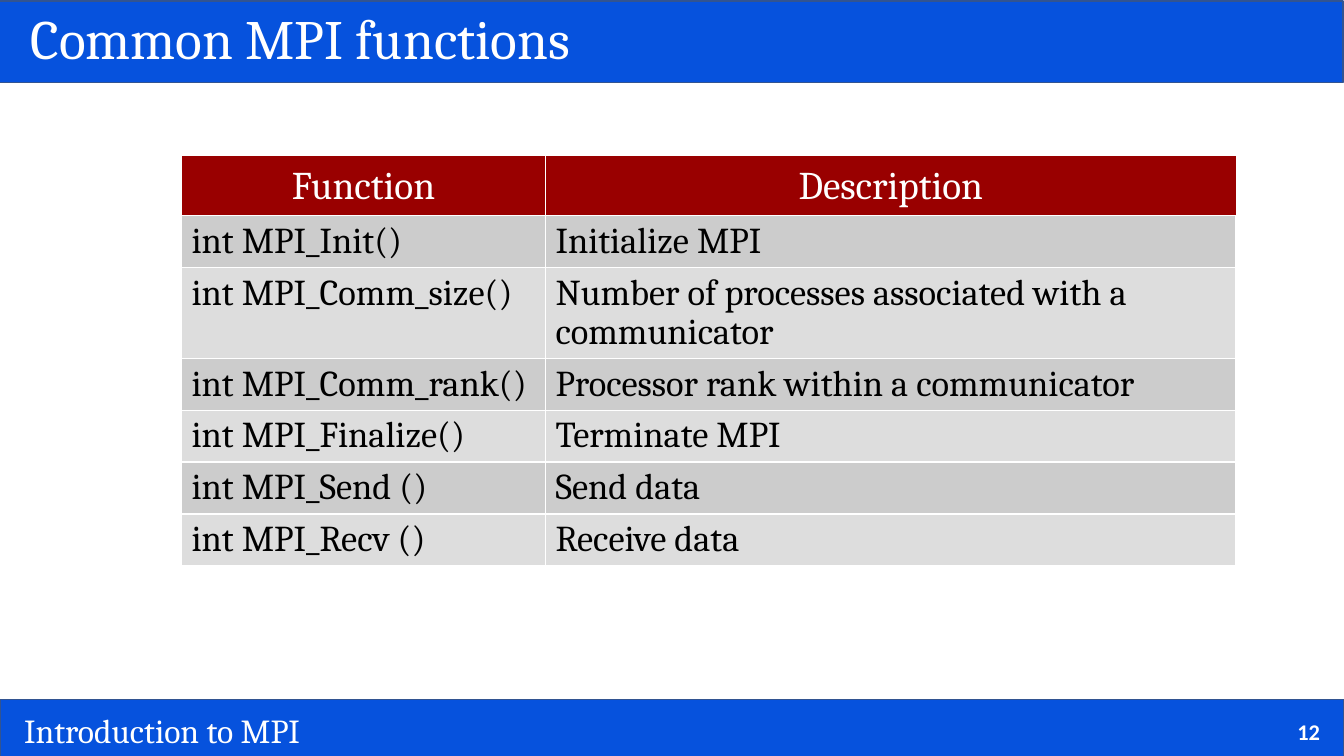
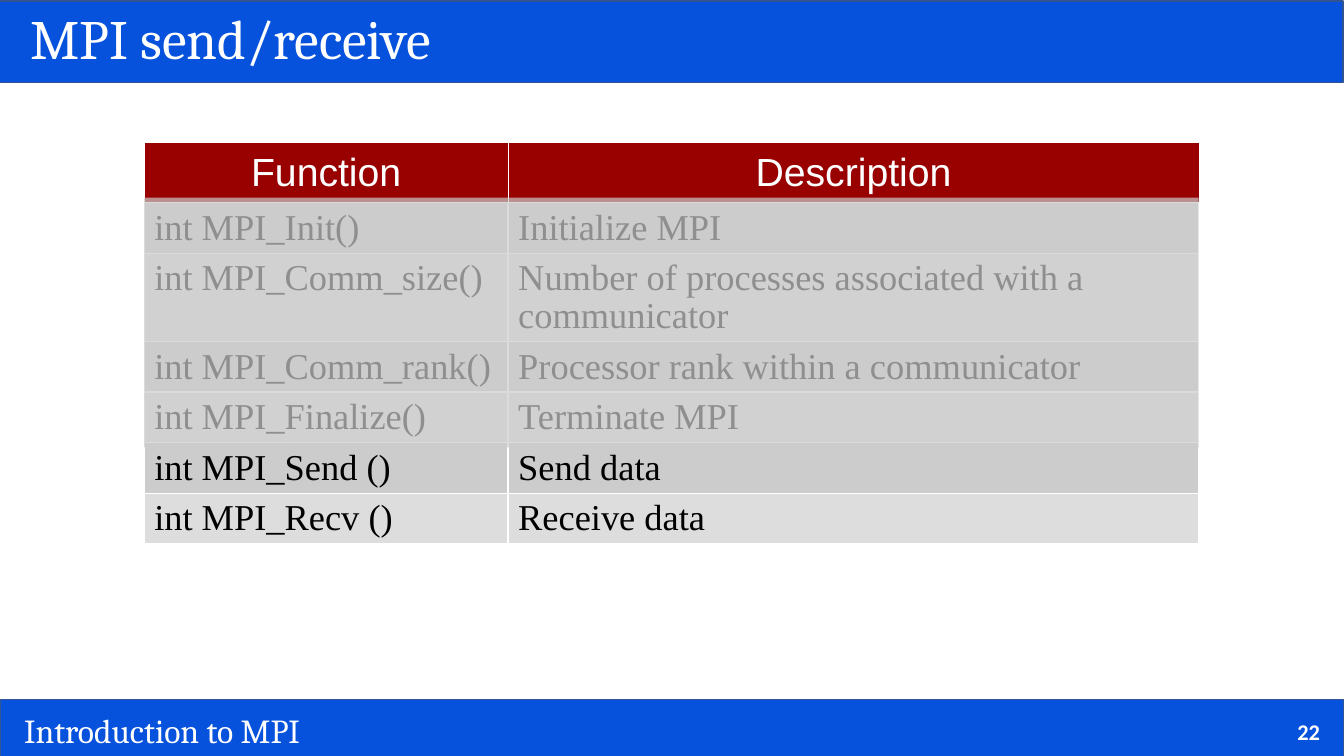
from lxml.etree import SubElement
from pptx import Presentation
from pptx.dml.color import RGBColor
from pptx.enum.shapes import MSO_SHAPE
from pptx.enum.text import MSO_ANCHOR, MSO_AUTO_SIZE, PP_ALIGN
from pptx.oxml.ns import qn
from pptx.util import Inches, Pt

BLUE, NAVY, RED = "0652DD", "325491", "990000"
WHITE, BLACK, GREY, PALE = "FFFFFF", "000000", "CCCCCC", "DDDDDD"
ROWS = [
    ("Function", "Description"),
    ("int MPI_Init()", "Initialize MPI"),
    ("int MPI_Comm_size()", "Number of processes associated with a communicator"),
    ("int MPI_Comm_rank()", "Processor rank within a communicator"),
    ("int MPI_Finalize()", "Terminate MPI"),
    ("int MPI_Send ()", "Send data"),
    ("int MPI_Recv ()", "Receive data"),
]
SLIDES = [
    ("Common MPI functions", "12", 1.8, 1.54, "Cambria", "Cambria", 27.7),
    ("MPI send/receive", "22", 1.43, 1.41, "Arial", "Times New Roman", 26.8),
]


def rgb(color):
    return RGBColor.from_string(color)


def write(tf, text, size, font, color, align=PP_ALIGN.LEFT, spacing=1.0, bold=False):
    p = tf.paragraphs[0]
    p.alignment = align
    p.line_spacing = spacing
    r = p.add_run()
    r.text = text
    r.font.size = Pt(size)
    r.font.name = font
    r.font.bold = bold
    r.font.color.rgb = rgb(color)


prs = Presentation()
prs.slide_width, prs.slide_height = Inches(13.33), Inches(7.5)
layout = prs.slide_layouts[5]
slides = [prs.slides.add_slide(layout) for _ in SLIDES]

shapes = slides[0].shapes
shared = []
for left, top, height in [(0, 6.94, 0.6), (-0.01, 0.01, 0.81)]:
    band = shapes.add_shape(MSO_SHAPE.RECTANGLE, Inches(left), Inches(top), Inches(13.33), Inches(height))
    band.shadow.inherit = False
    band.fill.solid()
    band.fill.fore_color.rgb = rgb(BLUE)
    band.line.color.rgb = rgb(NAVY)
    band.line.width = Pt(1)
    shared.append(band)
footer = shapes.add_textbox(Inches(0.14), Inches(6.99), Inches(10.63), Inches(0.5))
footer.text_frame.word_wrap = True
write(footer.text_frame, "Introduction to MPI", 24, "Cambria", WHITE)
shared.append(footer)
for shape_id, shape in enumerate(shared, 101):
    shape._element.nvSpPr.cNvPr.set("id", str(shape_id))
    layout.shapes._spTree.append(shape._element)

for s, (heading, number, left, top, head_font, body_font, body_line) in zip(slides, SLIDES):
    title = s.shapes.title
    title.left, title.top = Inches(0.2), Inches(0.05)
    title.width, title.height = Inches(11.5), Inches(0.73)
    title.text_frame.auto_size = MSO_AUTO_SIZE.NONE
    title.text_frame.vertical_anchor = MSO_ANCHOR.MIDDLE
    write(title.text_frame, heading, 39.6, "Cambria", WHITE, spacing=0.9)

    box = s.shapes.add_textbox(Inches(12.71), Inches(7.06), Inches(0.48), Inches(0.4))
    box.text_frame.word_wrap = True
    box.text_frame.vertical_anchor = MSO_ANCHOR.MIDDLE
    write(box.text_frame, number, 16, "Calibri", WHITE, PP_ALIGN.RIGHT, bold=True)

    frame = s.shapes.add_table(len(ROWS), 2, Inches(left), Inches(top), Inches(10.46), Inches(3.06))
    table = frame.table
    table.first_row = table.horz_banding = False
    table.columns[0].width, table.columns[1].width = Inches(3.61), Inches(6.85)
    for i, row in enumerate(ROWS):
        head = i == 0
        table.rows[i].height = Inches(0.6 if head else 0.41)
        for j, text in enumerate(row):
            cell = table.cell(i, j)
            cell.margin_left = cell.margin_right = Inches(0.1)
            cell.margin_top, cell.margin_bottom = Inches(0.08), Inches(0.05)
            cell.vertical_anchor = MSO_ANCHOR.MIDDLE if head else MSO_ANCHOR.TOP
            tc_pr = cell._tc.get_or_add_tcPr()
            for side in "LRTB":
                width = 0.06 if head and side != "B" else 1.13
                ln = SubElement(tc_pr, qn(f"a:ln{side}"), w=str(Pt(width)))
                SubElement(SubElement(ln, qn("a:solidFill")), qn("a:srgbClr"), val=WHITE)
            cell.fill.solid()
            cell.fill.fore_color.rgb = rgb(RED if head else GREY if i % 2 else PALE)
            if head:
                write(cell.text_frame, text, 28, head_font, WHITE, PP_ALIGN.CENTER, 0.93)
            else:
                write(cell.text_frame, text, 26, body_font, BLACK, spacing=Pt(body_line))

veil = slides[1].shapes.add_shape(MSO_SHAPE.RECTANGLE, Inches(1.43), Inches(1.96), Inches(10.46), Inches(2.48))
veil.shadow.inherit = False
veil.fill.solid()
veil.fill.fore_color.rgb = rgb(GREY)
veil.line.fill.background()
veil_color = veil._element.spPr.find(qn("a:solidFill")).find(qn("a:srgbClr"))
SubElement(veil_color, qn("a:alpha"), val="70000")

prs.save("out.pptx")
